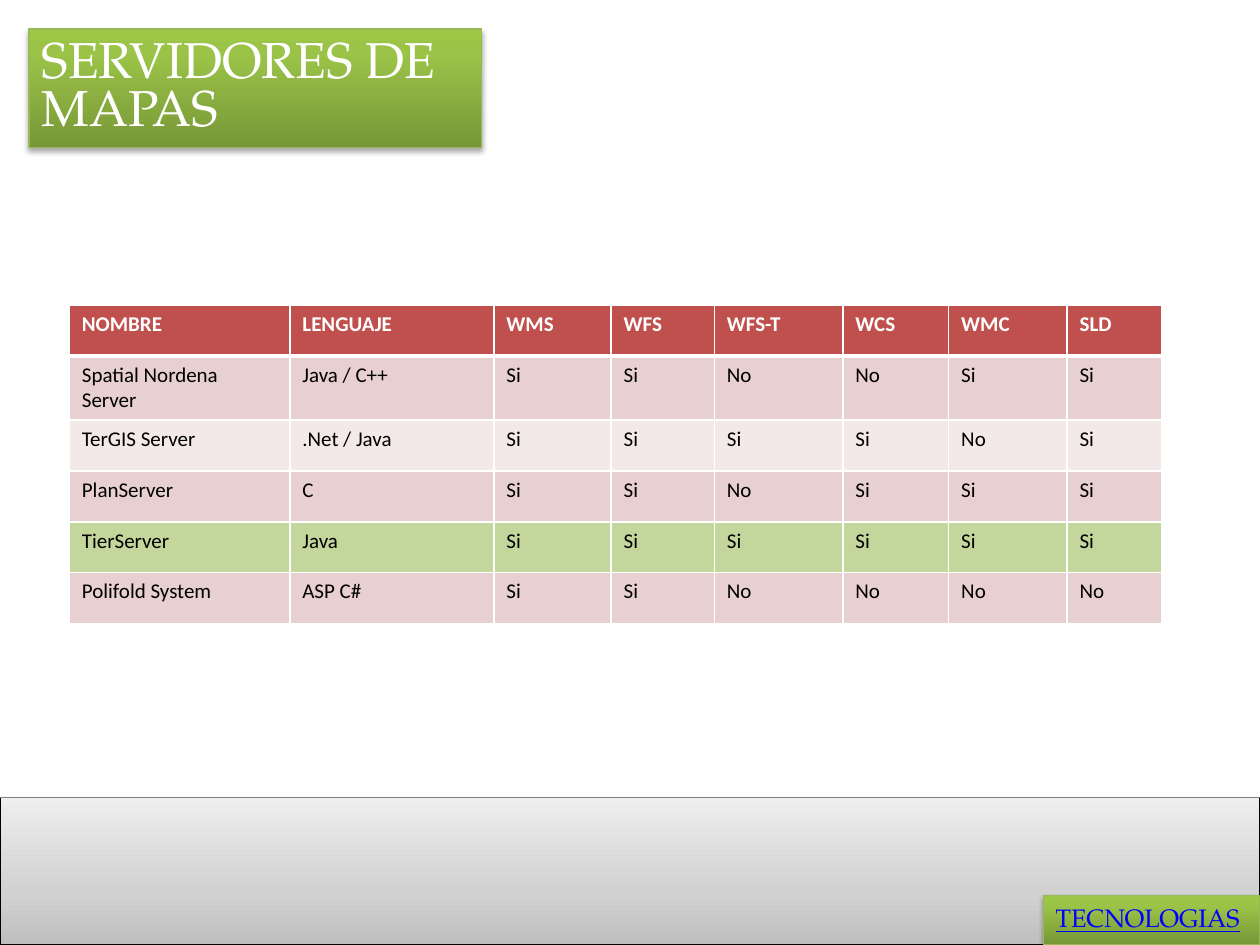
from pptx import Presentation, util as u
from pptx.dml.color import RGBColor
from pptx.enum import shapes, text
from pptx.oxml import parse_xml
from pptx.oxml.ns import nsdecls, qn

# Content
TITLE, LINK = "SERVIDORES DE MAPAS", "TECNOLOGIAS"
HEADER = ["NOMBRE", "LENGUAJE", "WMS", "WFS", "WFS-T", "WCS", "WMC", "SLD"]
SERVERS = [
    ("Spatial Nordena Server", "Java / C++", "Si Si No No Si Si"),
    ("TerGIS Server", ".Net / Java", "Si Si Si Si No Si"),
    ("PlanServer", "C", "Si Si No Si Si Si"),
    ("TierServer", "Java", "Si Si Si Si Si Si"),
    ("Polifold System", "ASP C#", "Si Si No No No No"),
]
HIGHLIGHT = 4

# Layout and style
W, H = 10, 7.5
BAND_TOP = 6.33
TABLE_LEFT, TABLE_TOP, ROW_H = 0.55, 2.42, 0.405
COLS = [1.75, 1.62, 0.93, 0.82, 1.02, 0.84, 0.94, 0.75]
SERIF, SANS = "TeX Gyre Pagella", "Calibri"
GREEN = dict(stops=[(0, "779737"), (80, "9BC348"), (100, "9DC746")],
             line="98B955", alpha=35, dist=1.8)
GREY = dict(stops=[(0, "BFBFBF"), (35, "D1D1D1"), (100, "EEEEEE")],
            line="000000", alpha=38, dist=1.6)
RED, BANDS, PICK = "C0504D", ("F4E9E9", "E8D0D0"), "C3D69B"


def rgb(value):
    return RGBColor.from_string(value)


def place(s, *box):
    for name, value in zip(("left", "top", "width", "height"), box):
        setattr(s, name, u.Inches(value))


def decorate(s, stops, line, alpha, dist):
    """Vertical gradient, thin outline and soft shadow below."""
    s.fill.gradient()
    s.fill.gradient_angle = 90
    gs_list = s.element.spPr.find(qn("a:gradFill")).find(qn("a:gsLst"))
    gs_list.clear()
    for pos, value in stops:
        gs_list.append(parse_xml(
            f'<a:gs {nsdecls("a")} pos="{pos * 1000}"><a:srgbClr val="{value}"/></a:gs>'))
    s.line.color.rgb = rgb(line)
    s.line.width = u.Pt(0.75)
    s.element.spPr.append(parse_xml(
        f'<a:effectLst {nsdecls("a")}><a:outerShdw blurRad="{u.Pt(3.1)}" '
        f'dist="{u.Pt(dist)}" dir="5400000" rotWithShape="0"><a:srgbClr val="000000">'
        f'<a:alpha val="{alpha * 1000}"/></a:srgbClr></a:outerShdw></a:effectLst>'))


def write(tf, words, color, **font):
    p = tf.paragraphs[0]
    p.alignment = text.PP_ALIGN.LEFT
    r = p.add_run()
    r.text = words
    r.font.color.rgb = rgb(color)
    for name, value in font.items():
        setattr(r.font, name, value)
    return p


def label(s, words, color, **font):
    decorate(s, **GREEN)
    tf = s.text_frame
    tf.word_wrap = True
    tf.auto_size = text.MSO_AUTO_SIZE.NONE
    tf.vertical_anchor = text.MSO_ANCHOR.MIDDLE
    write(tf, words, color, name=SERIF, **font).line_spacing = 0.8


def borders(cell, bottom):
    for side, width in (("L", 1), ("R", 1), ("T", 1), ("B", bottom)):
        cell._tc.get_or_add_tcPr().append(parse_xml(
            f'<a:ln{side} {nsdecls("a")} w="{u.Pt(width)}"><a:solidFill>'
            f'<a:srgbClr val="FFFFFF"/></a:solidFill></a:ln{side}>'))


prs = Presentation()
prs.slide_width, prs.slide_height = u.Inches(W), u.Inches(H)
slide = prs.slides.add_slide(prs.slide_layouts[5])


def rectangle(*box):
    return slide.shapes.add_shape(shapes.MSO_SHAPE.RECTANGLE, *map(u.Inches, box))


# Footer band with its top rule
decorate(rectangle(0, BAND_TOP, W, H - BAND_TOP), **GREY)
rule = slide.shapes.add_connector(
    shapes.MSO_CONNECTOR.STRAIGHT, *map(u.Inches, (0, BAND_TOP, W, BAND_TOP)))
rule.line.color.rgb = rgb("808080")
rule.line.width = u.Pt(1)
rule._element.spPr.append(parse_xml(f'<a:effectLst {nsdecls("a")}/>'))

# Title
title = slide.shapes.title
place(title, 0.23, 0.23, 3.59, 0.94)
label(title, TITLE, "FFFFFF", size=u.Pt(28.8))

# Server table
rows = [HEADER] + [[name, lang, *flags.split()] for name, lang, flags in SERVERS]
table = slide.shapes.add_table(
    len(rows), len(COLS), *map(u.Inches, (TABLE_LEFT, TABLE_TOP, sum(COLS), ROW_H * len(rows)))).table
for column, width in zip(table.columns, COLS):
    column.width = u.Inches(width)
for i, row in enumerate(rows):
    head = i == 0
    fill = RED if head else PICK if i == HIGHLIGHT else BANDS[i % 2]
    for j, words in enumerate(row):
        cell = table.cell(i, j)
        borders(cell, 3 if head else 1)
        cell.fill.solid()
        cell.fill.fore_color.rgb = rgb(fill)
        write(cell.text_frame, words, "FFFFFF" if head else "000000",
              name=SANS, size=u.Pt(12), bold=head)

# Section label in the corner
label(rectangle(W - 1.72, H - 0.39, 1.72, 0.39), LINK, "0000FF",
      size=u.Pt(14.4), underline=True)

prs.save("out.pptx")
